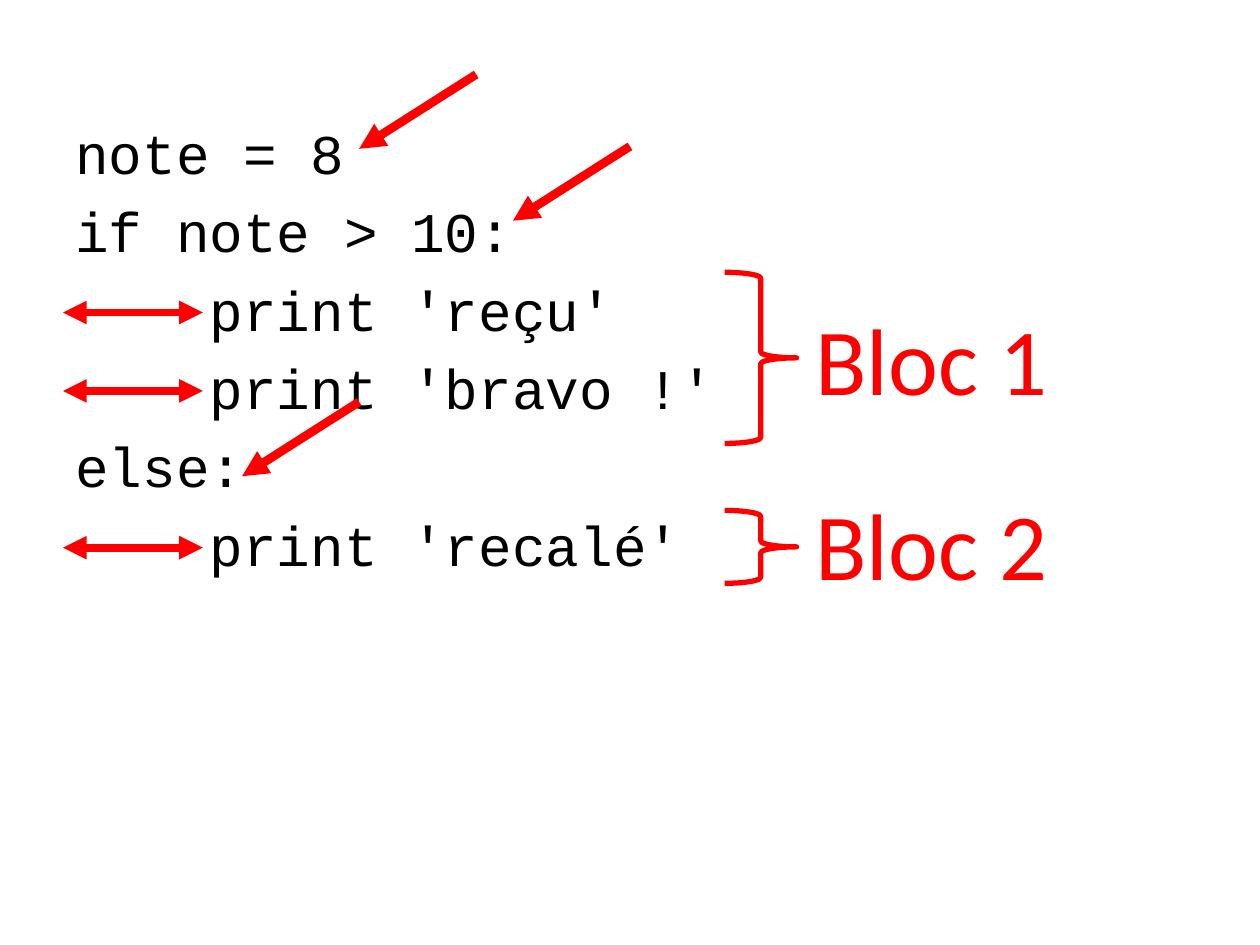
from lxml import etree
from pptx import Presentation
from pptx.dml.color import RGBColor
from pptx.enum.shapes import MSO_CONNECTOR, MSO_SHAPE
from pptx.oxml.ns import qn
from pptx.util import Cm, Pt

RED = "FF0000"
BLACK = "000000"
CODE = [
    "note = 8",
    "if note > 10:",
    "    print 'reçu'",
    "    print 'bravo !'",
    "else:",
    "    print 'recalé'",
]
FIRST_LINE_Y = 3.14
LINE_PITCH = 1.58
POINTER_STARTS = [(9.6, 1.5), (12.7, 2.95), (7.24, 8.1)]
# label, brace top, brace height, label top
BLOCKS = [("Bloc 1", 5.49, 3.45, 5.94), ("Bloc 2", 10.29, 1.47, 9.68)]


def color(value):
    return RGBColor.from_string(value)


def style_line(shape, width):
    shape.line.color.rgb = color(RED)
    shape.line.width = Pt(width)


def add_text(shapes, lines, left, top, width, height, font, size, text_color):
    box = shapes.add_textbox(Cm(left), Cm(top), Cm(width), Cm(height))
    frame = box.text_frame
    frame.word_wrap = True
    frame.text = "\n".join(lines)
    for paragraph in frame.paragraphs:
        for run in paragraph.runs:
            run.font.name = font
            run.font.size = Pt(size)
            run.font.color.rgb = color(text_color)
    return frame


def add_code(slide):
    frame = add_text(slide.shapes, CODE, 1.27, 2.26, 22.86, 14.83,
                     "Courier New", 32, BLACK)
    for paragraph in frame.paragraphs[1:]:
        paragraph.space_before = Pt(6.4)


def add_arrow(slide, start, end, width, ends=("tailEnd",)):
    arrow = slide.shapes.add_connector(
        MSO_CONNECTOR.STRAIGHT, *map(Cm, start), *map(Cm, end))
    style_line(arrow, width)
    line = arrow.line._get_or_add_ln()
    for name in ends:
        etree.SubElement(line, qn(f"a:{name}"), type="triangle")
    etree.SubElement(arrow._element.spPr, qn("a:effectLst"))


def add_indent_arrows(slide):
    """Mark the indentation of every indented code line."""
    for index, text in enumerate(CODE):
        if text.startswith(" "):
            y = FIRST_LINE_Y + index * LINE_PITCH
            add_arrow(slide, (4.09, y), (1.27, y), 4.5, ("headEnd", "tailEnd"))


def add_block(slide, label, brace_top, brace_height, label_top):
    """Group a right brace with its label."""
    group = slide.shapes.add_group_shape()
    brace = group.shapes.add_shape(
        MSO_SHAPE.RIGHT_BRACE, Cm(14.61), Cm(brace_top), Cm(1.45), Cm(brace_height))
    brace.shadow.inherit = False
    brace.fill.background()
    style_line(brace, 3)
    add_text(group.shapes, [label], 16.19, label_top, 6.98, 2.57,
             "Calibri", 54, RED)


def main():
    presentation = Presentation()
    presentation.slide_width = Cm(25.4)
    presentation.slide_height = Cm(19.05)
    slide = presentation.slides.add_slide(presentation.slide_layouts[6])
    add_code(slide)
    add_indent_arrows(slide)
    for x, y in POINTER_STARTS:
        add_arrow(slide, (x, y), (x - 2.36, y + 1.5), 5)
    for block in BLOCKS:
        add_block(slide, *block)
    presentation.save("out.pptx")


if __name__ == "__main__":
    main()
